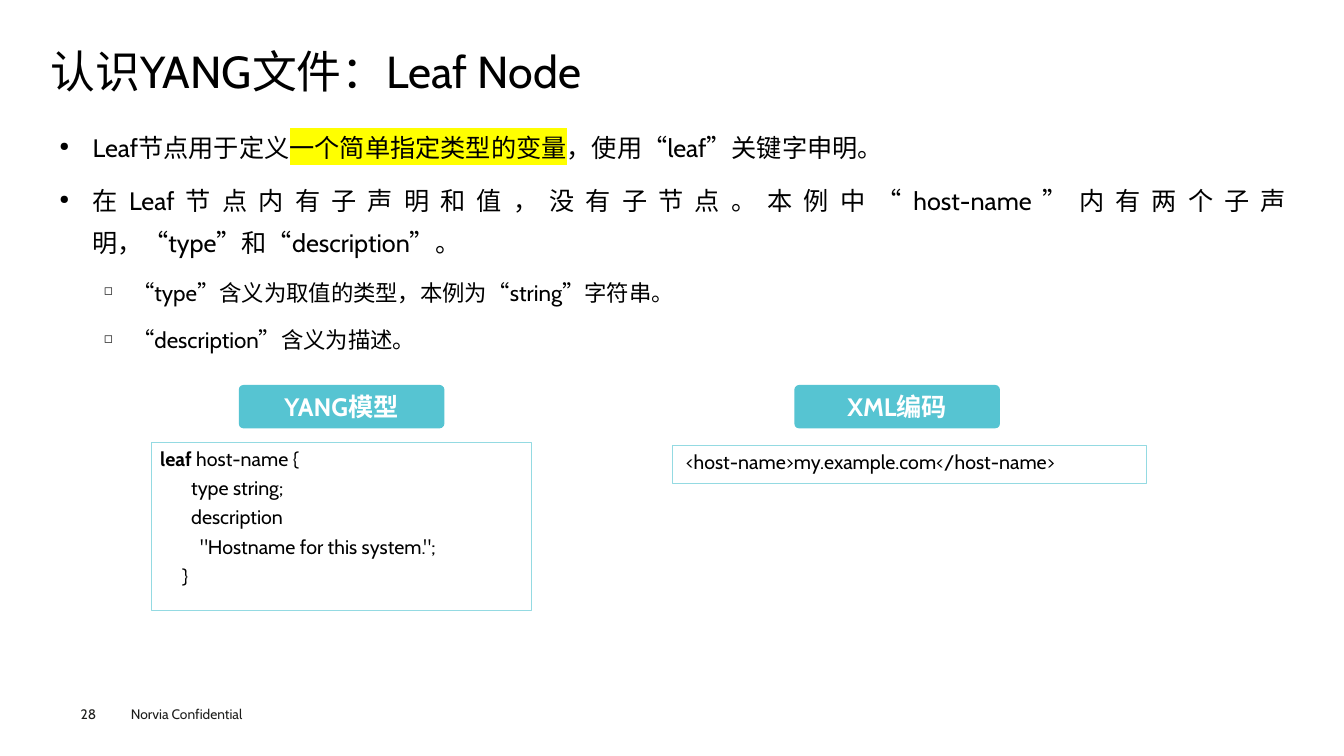
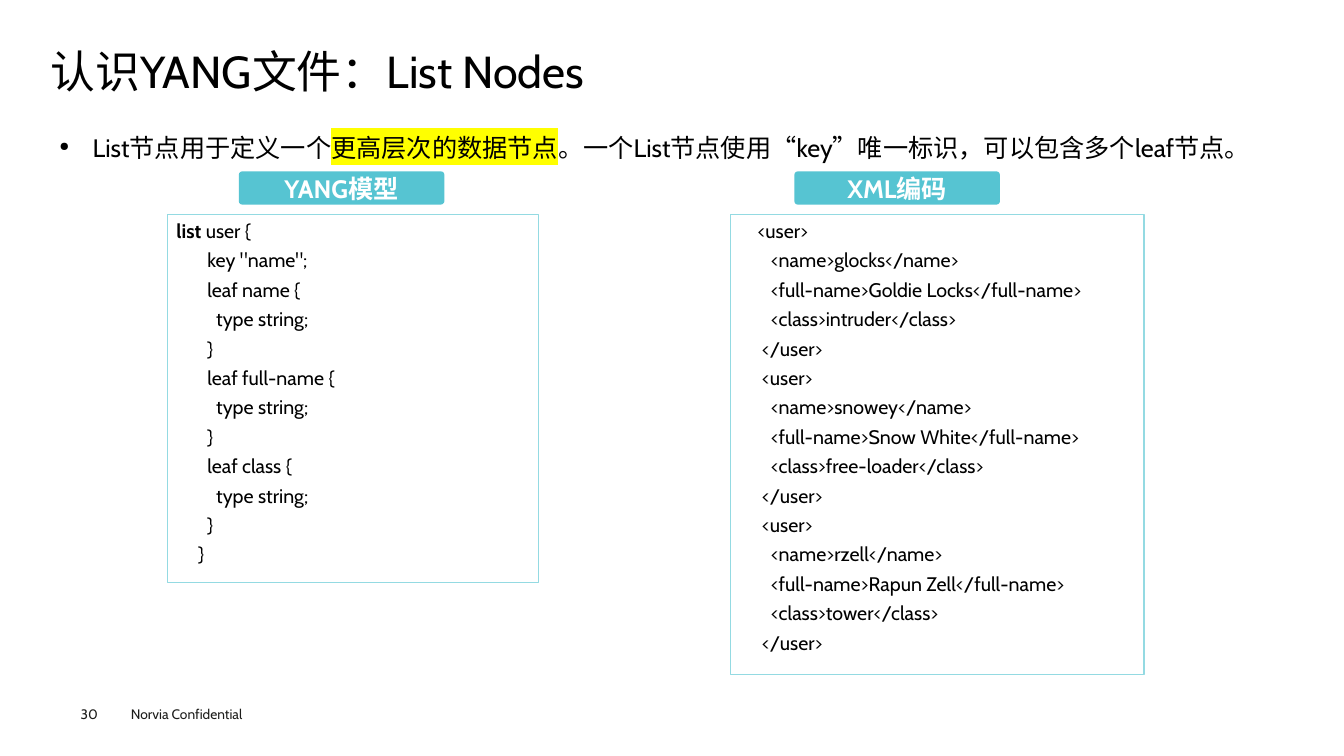
import pptx
import pptx.dml.color
import pptx.enum.lang
import pptx.enum.shapes
import pptx.enum.text
import pptx.oxml
import pptx.oxml.ns
import pptx.util
from lxml import etree

Pt = pptx.util.Pt
ALIGN = pptx.enum.text.PP_ALIGN
ANCHOR = pptx.enum.text.MSO_ANCHOR
SHAPE = pptx.enum.shapes.MSO_SHAPE
qn = pptx.oxml.ns.qn

FONT = "Cabin"
COLORS = {
    "text": "000000",
    "footer": "1D1D1B",
    "label": "FFFFFF",
    "teal": "56C4D2",
    "frame": "94DAE2",
    "highlight": "FFFF00",
}
LEVELS = [
    {"size": 18, "bullet": "●", "margin": 23.76, "hang": 23.76, "before": 7.9},
    {"size": 16, "bullet": "◻", "margin": 51.84, "hang": 20.16, "before": 7.2},
]
LABELS = [("YANG模型", 170.6), ("XML编码", 567.4)]

LEAF_YANG = """leaf host-name {
       type string;
       description
         "Hostname for this system.";
     }"""
LEAF_XML = " <host-name>my.example.com</host-name>"
LIST_YANG = """list user {
       key "name";
       leaf name {
         type string;
       }
       leaf full-name {
         type string;
       }
       leaf class {
         type string;
       }
     }"""
LIST_XML = """    <user>
       <name>glocks</name>
       <full-name>Goldie Locks</full-name>
       <class>intruder</class>
     </user>
     <user>
       <name>snowey</name>
       <full-name>Snow White</full-name>
       <class>free-loader</class>
     </user>
     <user>
       <name>rzell</name>
       <full-name>Rapun Zell</full-name>
       <class>tower</class>
     </user>"""


def rgb(name):
    return pptx.dml.color.RGBColor.from_string(COLORS[name])


def add_run(paragraph, text, size, color="text", bold=False, highlight=False):
    run = paragraph.add_run()
    run.text = text
    run.font.size = Pt(size)
    run.font.bold = bold
    run.font.name = FONT
    run.font.language_id = pptx.enum.lang.MSO_LANGUAGE_ID.SIMPLIFIED_CHINESE
    run.font.color.rgb = rgb(color)
    if highlight:
        marker = etree.Element(qn("a:highlight"))
        etree.SubElement(marker, qn("a:srgbClr")).set("val", COLORS["highlight"])
        run.font._element.find(qn("a:solidFill")).addnext(marker)


def set_frame(frame, inset_x, inset_y, anchor=ANCHOR.TOP):
    frame.word_wrap = True
    frame.margin_left = frame.margin_right = Pt(inset_x)
    frame.margin_top = frame.margin_bottom = Pt(inset_y)
    frame.vertical_anchor = anchor
    return frame


def next_paragraph(frame, index, before):
    if index == 0:
        return frame.paragraphs[0]
    paragraph = frame.add_paragraph()
    paragraph.space_before = Pt(before)
    return paragraph


def add_text(slide, box, inset_x=0, inset_y=0):
    return set_frame(slide.shapes.add_textbox(*map(Pt, box)).text_frame, inset_x, inset_y)


def add_panel(slide, preset, box):
    panel = slide.shapes.add_shape(preset, *map(Pt, box))
    panel.shadow.inherit = False
    return panel


def set_bullet(paragraph, level):
    properties = paragraph._p.get_or_add_pPr()
    properties.set("marL", str(Pt(level["margin"])))
    properties.set("indent", str(-Pt(level["hang"])))
    etree.SubElement(properties, qn("a:buSzPct")).set("val", "50000")
    etree.SubElement(properties, qn("a:buChar")).set("char", level["bullet"])


def add_points(slide, points):
    frame = add_text(slide, (36, 82.8, 889.2, 384.5), 6.5, 2.9)
    for index, (depth, *parts) in enumerate(points):
        level = LEVELS[depth]
        paragraph = next_paragraph(frame, index, level["before"])
        paragraph.level = depth
        set_bullet(paragraph, level)
        paragraph.line_spacing = 1.4
        paragraph.alignment = ALIGN.LEFT if depth else ALIGN.JUSTIFY
        for position, part in enumerate(parts):
            add_run(paragraph, part, level["size"], highlight=position == 1)


def add_code(slide, box, code, keyword=""):
    panel = add_panel(slide, SHAPE.RECTANGLE, box)
    panel.fill.background()
    panel.line.color.rgb = rgb("frame")
    panel.line.width = Pt(0.75)
    frame = set_frame(panel.text_frame, 6.5, 2.9)
    for index, line in enumerate(code.split("\n")):
        paragraph = next_paragraph(frame, index, 4.2)
        paragraph.alignment = ALIGN.LEFT
        if index == 0 and keyword:
            add_run(paragraph, keyword, 14, bold=True)
            line = line.removeprefix(keyword)
        add_run(paragraph, line, 14)


def add_labels(slide, top, height):
    for text, left in LABELS:
        label = add_panel(slide, SHAPE.ROUNDED_RECTANGLE, (left, top, 146.9, height))
        label.adjustments[0] = 0.11
        label.fill.solid()
        label.fill.fore_color.rgb = rgb("teal")
        label.line.fill.background()
        frame = set_frame(label.text_frame, 7.2, 3.6, ANCHOR.MIDDLE)
        frame.paragraphs[0].alignment = ALIGN.CENTER
        add_run(frame.paragraphs[0], text, 18, "label", bold=True)


def add_base(deck, title, number):
    slide = deck.slides.add_slide(deck.slide_layouts[6])
    notice = add_text(slide, (86.4, 500.4, 115.2, 19.4), 7.2, 3.6)
    add_run(notice.paragraphs[0], "Norvia Confidential", 9.8, "footer")
    page = add_text(slide, (57.6, 504, 39.6, 11.5))
    add_run(page.paragraphs[0], number, 9.8, "footer")
    heading = add_text(slide, (36, 35.3, 889.2, 38.2)).paragraphs[0]
    heading.line_spacing = 0.9
    add_run(heading, title, 32)
    return slide


def main():
    deck = pptx.Presentation()
    deck.slide_width, deck.slide_height = Pt(960), Pt(540)

    leaf = add_base(deck, "认识YANG文件：Leaf Node", "28")
    add_points(leaf, [
        (0, "Leaf节点用于定义", "一个简单指定类型的变量", "，使用“leaf”关键字申明。"),
        (0, "在Leaf节点内有子声明和值，没有子节点。本例中“host-name”内有两个子声明，“type”和“description”。"),
        (1, "“type”含义为取值的类型，本例为“string”字符串。"),
        (1, "“description”含义为描述。"),
    ])
    add_code(leaf, (108, 316, 271.5, 120.2), LEAF_YANG, "leaf")
    add_code(leaf, (480.2, 318.2, 339.1, 27.4), LEAF_XML)
    add_labels(leaf, 275, 31)

    nodes = add_base(deck, "认识YANG文件：List Nodes", "30")
    add_points(nodes, [
        (0, "List节点用于定义一个", "更高层次的数据节点",
         "。一个List节点使用“key”唯一标识，可以包含多个leaf节点。"),
    ])
    add_code(nodes, (119.5, 153.4, 265, 262.8), LIST_YANG, "list")
    add_code(nodes, (522, 153.4, 295.2, 328.3), LIST_XML)
    add_labels(nodes, 122.4, 23.8)

    deck.save("out.pptx")


if __name__ == "__main__":
    main()
